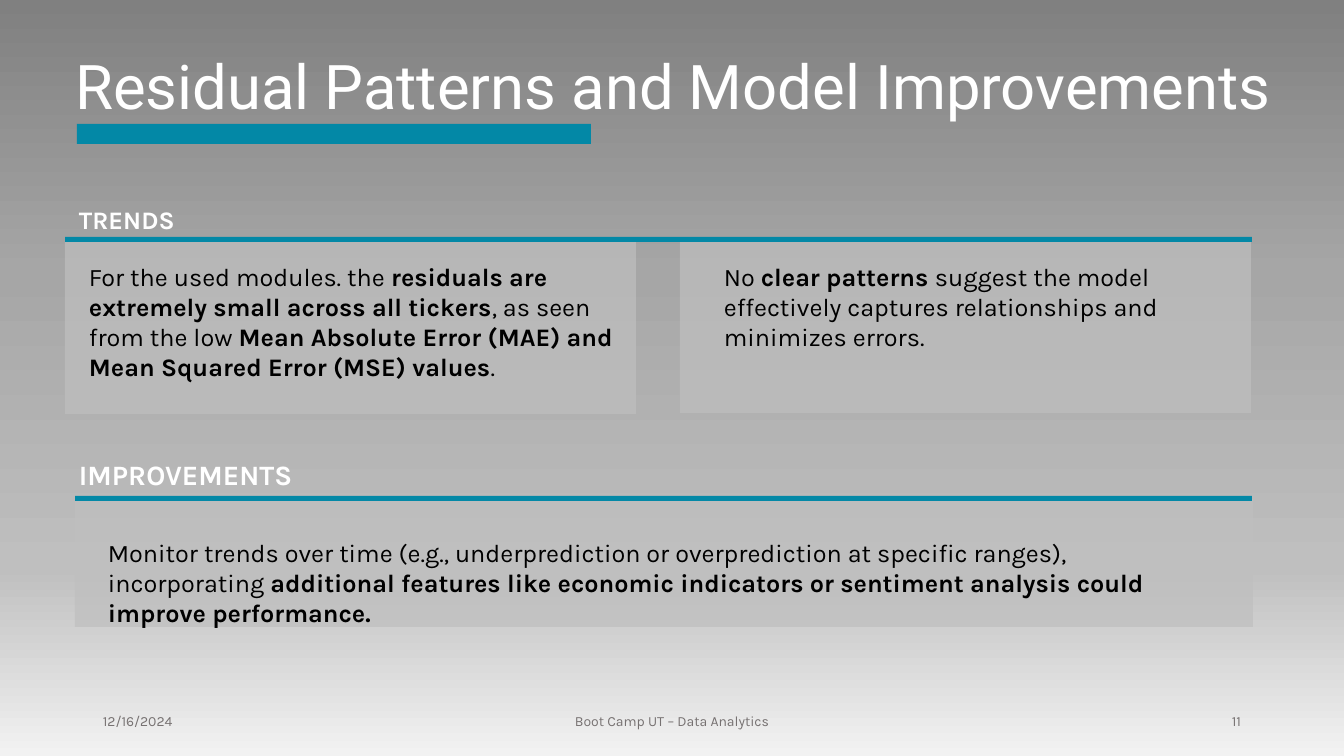
from lxml import etree
from pptx import Presentation
from pptx.dml.color import RGBColor
from pptx.enum.shapes import MSO_SHAPE as SHAPE
from pptx.enum.text import MSO_ANCHOR as ANCHOR, PP_ALIGN as ALIGN
from pptx.oxml.ns import qn
from pptx.util import Pt

PX = 914400 / 100.8
WHITE = RGBColor(0xFF, 0xFF, 0xFF)
BLACK = RGBColor(0, 0, 0)
TEAL = RGBColor(0x03, 0x88, 0xA6)
PANEL = RGBColor(0xBF, 0xBF, 0xBF)
FOOTER = RGBColor(0x76, 0x71, 0x71)
BACKGROUND = [(0, "808080"), (36, "A6A6A6"), (75, "BFBFBF"), (100, "F2F2F2")]


def add_rect(box, color, alpha=None):
    sp = s.shapes.add_shape(SHAPE.RECTANGLE, *[round(v * PX) for v in box])
    sp.shadow.inherit = False
    sp.line.fill.background()
    sp.fill.solid()
    sp.fill.fore_color.rgb = color
    if alpha:
        clr = sp.fill._xPr.find(".//" + qn("a:srgbClr"))
        etree.SubElement(clr, qn("a:alpha"), val=str(alpha * 1000))


def add_text(box, runs, size, color, bold=None, align=ALIGN.LEFT, anchor=ANCHOR.TOP):
    tf = s.shapes.add_textbox(*[round(v * PX) for v in box]).text_frame
    tf.word_wrap = True
    tf.vertical_anchor = anchor
    p = tf.paragraphs[0]
    p.alignment = align
    p.font.name = "Karla"
    p.font.size = Pt(size)
    p.font.color.rgb = color
    p.font.bold = bold
    for i, text in enumerate(runs):
        r = p.add_run()
        r.text = text
        if i % 2:
            r.font.bold = True


prs = Presentation()
prs.slide_width = round(1344 * PX)
prs.slide_height = round(756 * PX)
s = prs.slides.add_slide(prs.slide_layouts[5])

fill = s.background.fill
fill.gradient()
fill.gradient_angle = 270
stops = fill._fill._gradFill.find(qn("a:gsLst"))
for gs in list(stops):
    stops.remove(gs)
for pos, color in BACKGROUND:
    gs = etree.SubElement(stops, qn("a:gs"), pos=str(pos * 1000))
    etree.SubElement(gs, qn("a:srgbClr"), val=color)

title = s.shapes.title
title.left, title.top, title.width, title.height = [round(v * PX) for v in (65, 17, 1328, 146)]
tf = title.text_frame
tf.text = "Residual Patterns and Model Improvements"
tf.word_wrap = True
tf.vertical_anchor = ANCHOR.MIDDLE
p = tf.paragraphs[0]
p.alignment = ALIGN.LEFT
p.line_spacing = 0.9
p.font.name = "Roboto"
p.font.size = Pt(44)
p.font.color.rgb = WHITE

for box in [(75, 499, 1178, 128), (65, 240, 571, 174), (680, 239, 571, 174)]:
    add_rect(box, PANEL, 70)
for box in [(77, 124, 514, 20), (65, 237, 1187, 5), (75, 496, 1177, 5)]:
    add_rect(box, TEAL)

add_text((69, 199, 604, 40), ["TRENDS"], 18, WHITE, bold=True)
add_text((69, 453, 697, 44), ["IMPROVEMENTS"], 20, WHITE, bold=True)

bodies = [
    ((79, 256, 558, 132), [
        "For the used modules. the ",
        "residuals are extremely small across all tickers",
        ", as seen from the low ",
        "Mean Absolute Error (MAE) and Mean Squared Error (MSE) values",
        "."]),
    ((714, 256, 538, 72), [
        "No ",
        "clear patterns ",
        "suggest the model effectively captures relationships and minimizes errors."]),
    ((98, 532, 1141, 72), [
        "Monitor trends over time (e.g., underprediction or overprediction at specific ranges), incorporating ",
        "additional features like economic indicators or sentiment analysis could improve performance."]),
]
for box, runs in bodies:
    add_text(box, runs, 18, BLACK)

footers = [
    (93, 302, "12/16/2024", ALIGN.LEFT),
    (445, 454, "Boot Camp UT – Data Analytics", ALIGN.CENTER),
    (949, 302, "11", ALIGN.RIGHT),
]
for left, width, text, align in footers:
    add_text((left, 701, width, 40), [text], 10, FOOTER, align=align, anchor=ANCHOR.MIDDLE)

prs.save("out.pptx")
